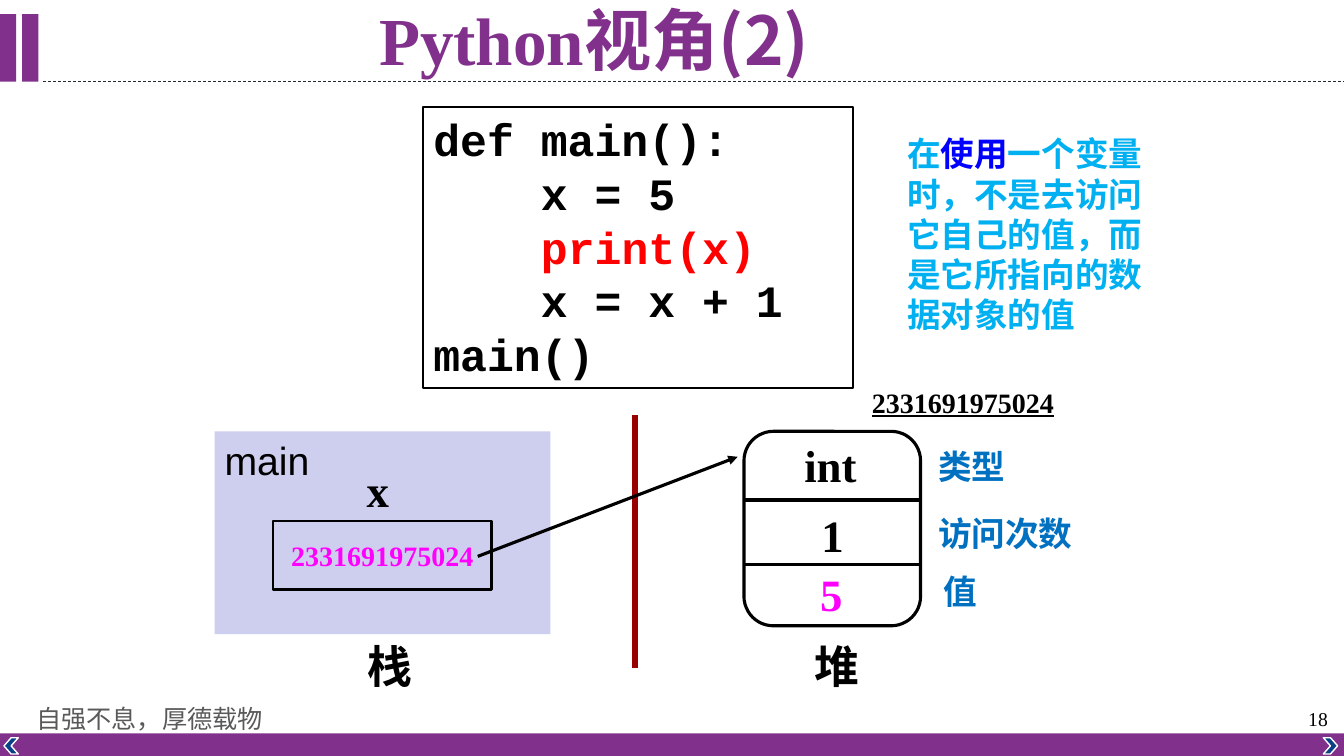
from lxml import etree
from pptx import Presentation
from pptx.dml.color import RGBColor
from pptx.enum import dml, shapes, text
from pptx.oxml.ns import qn
from pptx.util import Cm, Pt

SANS, SERIF, MONO = "Noto Sans CJK SC", "Times New Roman", "Courier New"
PURPLE, BLACK, PINK, BLUE, SKY = "81308C", "000000", "FF00FF", "0070C0", "00B0F0"
WIDE, HIGH = 33.87, 19.05
ADDR = "2331691975024"

# Each line is a list of (words, colour) runs
CODE = [
    [("def main():", BLACK)],
    [("    x = 5", BLACK)],
    [("    ", BLACK), ("print(x)", "FF0000")],
    [("    x = x + 1", BLACK)],
    [("main()", BLACK)],
]
NOTE = [[("在", SKY), ("使用", "0000FF"),
         ("一个变量时，不是去访问它自己的值，而是它所指向的数据对象的值", SKY)]]

# Words, box (left, top, width, height), size, font, colour, bold
PLAIN = [
    ("自强不息，厚德载物", (0.66, 17.6, 6.25, 1.02), 18, SANS, "595959", False),
    ("18", (32.72, 17.68, 1.14, 0.86), 14, SERIF, BLACK, False),
    ("main", (5.41, 10.87, 4.65, 1.45), 28, "Arial", BLACK, False),
]
LABELS = [
    ("x", (8.99, 11.53, 1.09, 1.63), 32, SERIF, BLACK, True),
    ("栈", (9.02, 15.98, 1.65, 1.63), 32, SERIF, BLACK, True),
    ("堆", (20.27, 15.98, 1.65, 1.63), 32, SERIF, BLACK, True),
    ("int", (20.02, 10.9, 1.83, 1.63), 32, SERIF, BLACK, True),
    ("1", (20.45, 12.67, 1.09, 1.63), 32, SERIF, BLACK, True),
    ("5", (20.42, 14.15, 1.09, 1.63), 32, SERIF, PINK, True),
    ("类型", (23.39, 11.1, 2.24, 1.27), 24, SANS, BLUE, True),
    ("访问次数", (23.39, 12.8, 3.96, 1.27), 24, SANS, BLUE, True),
    ("值", (23.52, 14.27, 1.37, 1.27), 24, SANS, BLUE, True),
]
HEAP = (18.75, 10.87, 4.45, 4.9)
ROWS = (12.6, 14.22)

deck = Presentation()
deck.slide_width, deck.slide_height = Cm(WIDE), Cm(HIGH)
slide = deck.slides.add_slide(deck.slide_layouts[6])
KIND = shapes.MSO_SHAPE


def rgb(code):
    return RGBColor.from_string(code)


def shape(kind, box, fill=None, line=None, width=1):
    item = slide.shapes.add_shape(kind, *map(Cm, box))
    item.shadow.inherit = False
    if fill:
        item.fill.solid()
        item.fill.fore_color.rgb = rgb(fill)
    else:
        item.fill.background()
    if line:
        item.line.color.rgb = rgb(line)
        item.line.width = Pt(width)
    else:
        item.line.fill.background()
    return item


def rule(x1, y1, x2, y2, color, width):
    item = slide.shapes.add_connector(
        shapes.MSO_CONNECTOR.STRAIGHT, *map(Cm, (x1, y1, x2, y2)))
    item.line.color.rgb = rgb(color)
    item.line.width = Pt(width)
    etree.SubElement(item._element.spPr, qn("a:effectLst"))
    return item


def add_run(para, words, size, font, color, bold):
    """Add a run whose font also covers Chinese characters."""
    run = para.add_run()
    run.text = words
    run.font.size, run.font.bold = Pt(size), bold
    run.font.color.rgb = rgb(color)
    run.font.name = font
    east = etree.SubElement(run.font._element, qn("a:ea"))
    east.set("typeface", font if font == SANS else SANS)
    return run


def write(item, lines, size, font, wrap=True, align="LEFT", anchor="TOP"):
    """Fill a shape with bold lines of (words, colour) runs."""
    frame = item.text_frame
    frame.word_wrap = wrap
    frame.vertical_anchor = getattr(text.MSO_ANCHOR, anchor)
    for i, line in enumerate(lines):
        para = frame.add_paragraph() if i else frame.paragraphs[0]
        para.alignment = getattr(text.PP_ALIGN, align)
        for words, color in line:
            add_run(para, words, size, font, color, True)
    return frame


def label(words, box, size, font, color, bold, wrap=False):
    frame = slide.shapes.add_textbox(*map(Cm, box)).text_frame
    frame.word_wrap = wrap
    return add_run(frame.paragraphs[0], words, size, font, color, bold)


# Frame of the page
rule(1.09, 2.06, WIDE, 2.06, "1F2B37", 0.5).line.dash_style = dml.MSO_LINE.DASH
for left in (0, 0.56):
    shape(KIND.RECTANGLE, (left, 0.36, 0.41, 1.7), PURPLE)
shape(KIND.RECTANGLE, (0, 18.48, WIDE, 0.57), PURPLE)
for left, turn in ((33.35, 0), (0.1, 180)):
    mark = shape(KIND.CHEVRON, (left, 18.59, 0.36, 0.41), "0B4189", "FFFFFF")
    mark.rotation = turn

# Title
title = slide.shapes.add_textbox(Cm(1.12), Cm(0.13), Cm(27.71), Cm(1.93))
frame = write(title, [[("Python", PURPLE)]], 48, SERIF, align="CENTER", anchor="MIDDLE")
head = frame.paragraphs[0]
head.line_spacing = 0.9
add_run(head, "视角(2)", 48, SANS, PURPLE, True)

# Code and note
code = shape(KIND.RECTANGLE, (10.67, 2.69, 10.82, 7.09), line=BLACK, width=1.25)
write(code, CODE, 32, MONO)
note = slide.shapes.add_textbox(Cm(22.61), Cm(3.23), Cm(6.55), Cm(5.38))
write(note, NOTE, 24, SANS)

# Stack and heap
shape(KIND.RECTANGLE, (5.41, 10.87, 8.46, 5.11), "CECEEF")
ref = shape(KIND.RECTANGLE, (6.88, 13.13, 5.51, 1.73), line=BLACK, width=2)
write(ref, [[(ADDR, PINK)]], 20, SERIF, align="CENTER", anchor="MIDDLE")
rule(16, 10.46, 16, 16.84, "990000", 4.25)
shape(KIND.ROUNDED_RECTANGLE, HEAP, line=BLACK, width=2.25)
for y in ROWS:
    rule(HEAP[0], y, HEAP[0] + HEAP[2], y, BLACK, 2.25)
for entry in PLAIN:
    label(*entry, wrap=True)
for entry in LABELS:
    label(*entry)
label(ADDR, (21.72, 9.58, 5.16, 1.12), 20, SERIF, BLACK, True).font.underline = True

arrow = rule(12.04, 14.02, 18.59, 11.51, BLACK, 2.25)
etree.SubElement(arrow.line._get_or_add_ln(), qn("a:tailEnd")).set("type", "triangle")

deck.save("out.pptx")
